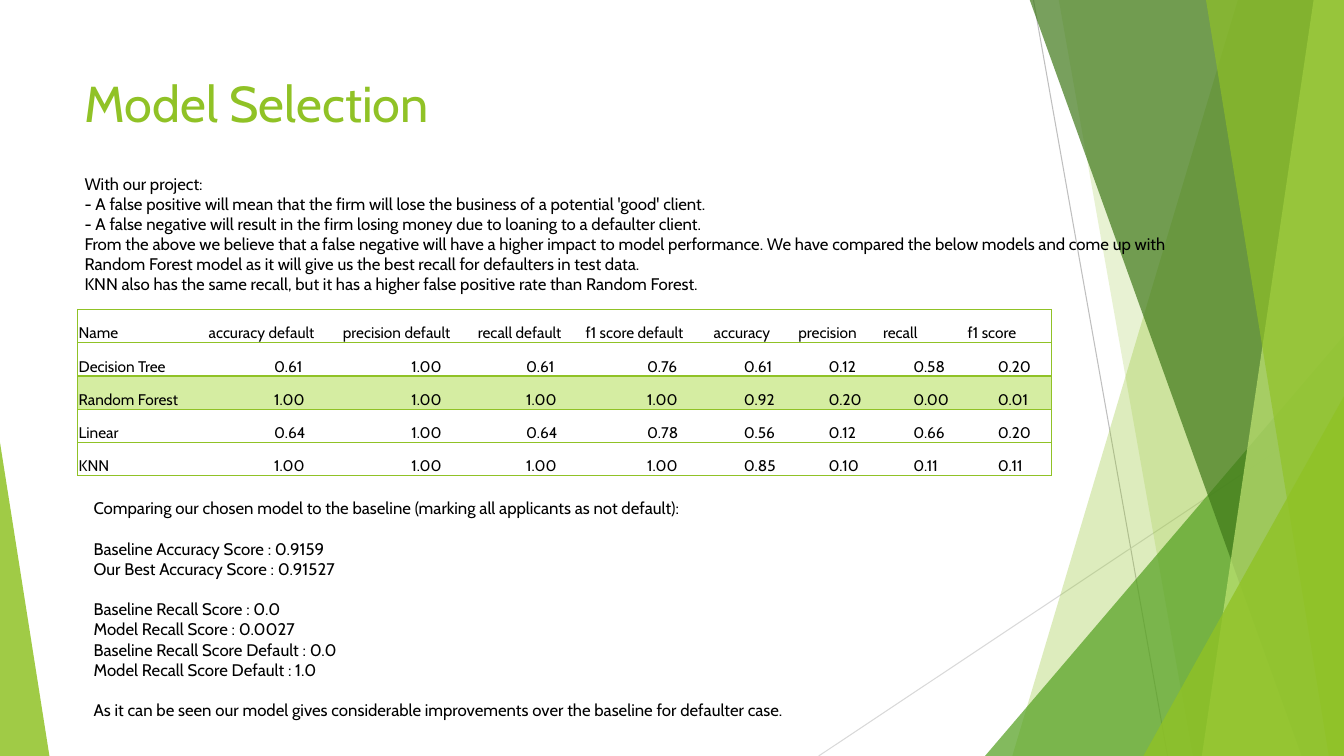
from lxml.etree import SubElement
from pptx import Presentation
from pptx.dml.color import RGBColor
from pptx.enum.shapes import MSO_CONNECTOR, MSO_SHAPE
from pptx.enum.text import MSO_ANCHOR
from pptx.oxml.ns import qn
from pptx.util import Inches, Pt

GREEN = RGBColor(0x90, 0xC2, 0x26)
MID_GREEN = RGBColor(0x54, 0xA0, 0x21)
DARK_GREEN = RGBColor(0x3F, 0x78, 0x19)
LIGHT_GREEN = RGBColor(0xC0, 0xE4, 0x74)
HIGHLIGHT = RGBColor(0xD5, 0xED, 0xA2)
GRAY = RGBColor(0xBF, 0xBF, 0xBF)
PALE_GRAY = RGBColor(0xD9, 0xD9, 0xD9)
WHITE = RGBColor(0xFF, 0xFF, 0xFF)
BLACK = RGBColor(0, 0, 0)

WIDTH, HEIGHT, TOP = 13.33, 7.5, -0.01
NO_TABLE_STYLE = "{2D5ABB26-0587-4C30-8999-92F81FD0307C}"

RAYS = [((10.25, 0), (11.58, HEIGHT), GRAY), ((WIDTH, 4.03), (8.12, HEIGHT), PALE_GRAY)]
BACK_BANDS = [(12.28, 10.04, GREEN, 30), (10.5, 11.83, GREEN, 20)]
FRONT_BANDS = [
    (10.21, 12.91, DARK_GREEN, 70),
    (13.03, 11.92, LIGHT_GREEN, 70),
    (11.96, 13.18, GREEN, 65),
]

PROJECT_TEXT = [[
    "With our project:",
    "- A false positive will mean that the firm will lose the business of a potential 'good' client.",
    "- A false negative will result in the firm losing money due to loaning to a defaulter client.",
    "From the above we believe that a false negative will have a higher impact to model performance. "
    "We have compared the below models and come up with Random Forest model as it will give us "
    "the best recall for defaulters in test data.",
    "KNN also has the same recall, but it has a higher false positive rate than Random Forest.",
]]
COMPARISON_TEXT = [
    ["Comparing our chosen model to the baseline (marking all applicants as not default):"],
    ["Baseline Accuracy Score : 0.9159", "Our Best Accuracy Score : 0.91527"],
    [
        "Baseline Recall Score : 0.0",
        "Model Recall Score : 0.0027",
        "Baseline Recall Score Default : 0.0",
        "Model Recall Score Default : 1.0",
    ],
    ["As it can be seen our model gives considerable improvements over the baseline for defaulter case."],
]

SCORES = [
    ["Name", "accuracy default", "precision default", "recall default", "f1 score default",
     "accuracy", "precision", "recall", "f1 score"],
    ["Decision Tree", "0.61", "1.00", "0.61", "0.76", "0.61", "0.12", "0.58", "0.20"],
    ["Random Forest", "1.00", "1.00", "1.00", "1.00", "0.92", "0.20", "0.00", "0.01"],
    ["Linear", "0.64", "1.00", "0.64", "0.78", "0.56", "0.12", "0.66", "0.20"],
    ["KNN", "1.00", "1.00", "1.00", "1.00", "0.85", "0.10", "0.11", "0.11"],
]
COLUMN_WIDTHS = [1.29, 1.33, 1.34, 1.07, 1.27] + [0.84] * 4
VALUE_INDENTS = [0.01, 0.66, 0.69, 0.49, 0.62] + [0.31] * 4


class SlideBuilder:
    """Draws styled elements on one slide."""

    def __init__(self, slide, font="Cabin"):
        self.slide = slide
        self.shapes = slide.shapes
        self.font = font

    def format_paragraph(self, paragraph, size, color):
        for run in paragraph.runs:
            run.font.name = self.font
            run.font.size = Pt(size)
            run.font.color.rgb = color

    def paint(self, shape, color, opacity):
        shape.shadow.inherit = False
        shape.fill.solid()
        shape.fill.fore_color.rgb = color
        shape.line.fill.background()
        color_element = shape.fill._xPr.find(qn("a:solidFill"))[0]
        SubElement(color_element, qn("a:alpha"), val=str(opacity * 1000))

    def ray(self, start, end, color):
        points = [Inches(value) for value in (*start, *end)]
        connector = self.shapes.add_connector(MSO_CONNECTOR.STRAIGHT, *points)
        connector.line.color.rgb = color
        connector.line.width = Pt(0.75)
        SubElement(connector._element.spPr, qn("a:effectLst"))

    def band(self, top_x, bottom_x, color, opacity):
        corners = [(WIDTH, TOP), (WIDTH, HEIGHT), (bottom_x, HEIGHT)]
        builder = self.shapes.build_freeform(Inches(top_x), Inches(TOP))
        builder.add_line_segments([(Inches(x), Inches(y)) for x, y in corners])
        self.paint(builder.convert_to_shape(), color, opacity)

    def triangle(self, left, top, width, apex, color, opacity):
        shape = self.shapes.add_shape(
            MSO_SHAPE.ISOSCELES_TRIANGLE,
            Inches(left), Inches(top), Inches(width), Inches(HEIGHT - top),
        )
        shape.adjustments[0] = apex
        self.paint(shape, color, opacity)

    def text(self, left, top, width, height, groups, size=12, color=BLACK):
        box = self.shapes.add_textbox(Inches(left), Inches(top), Inches(width), Inches(height))
        frame = box.text_frame
        frame.word_wrap = True
        frame.text = "\n".join(line for group in groups for line in group)
        for paragraph in frame.paragraphs:
            self.format_paragraph(paragraph, size, color)
        first = 0
        for group in groups[:-1]:
            first += len(group)
            frame.paragraphs[first].space_before = Pt(size * 1.21)

    def border(self, cell, sides):
        properties = cell._tc.get_or_add_tcPr()
        for side in sides:
            line = SubElement(properties, qn(f"a:ln{side}"), w=str(Pt(1)))
            fill = SubElement(line, qn("a:solidFill"))
            SubElement(fill, qn("a:srgbClr"), val=str(GREEN))

    def table(self, left, top, rows, widths, indents, row_height, highlighted):
        frame = self.shapes.add_table(
            len(rows), len(widths), Inches(left), Inches(top),
            Inches(sum(widths)), Inches(row_height * len(rows)),
        )
        table = frame.table
        table.first_row = table.horz_banding = False
        table._tbl.tblPr.find(qn("a:tableStyleId")).text = NO_TABLE_STYLE
        for column, width in zip(table.columns, widths):
            column.width = Inches(width)
        last = len(widths) - 1
        for row_index, row in enumerate(rows):
            table.rows[row_index].height = Inches(row_height)
            for column_index, content in enumerate(row):
                cell = table.cell(row_index, column_index)
                cell.text_frame.text = content
                self.format_paragraph(cell.text_frame.paragraphs[0], 11, BLACK)
                cell.vertical_anchor = MSO_ANCHOR.BOTTOM
                cell.margin_left = Inches(indents[column_index] if row_index else 0.01)
                cell.margin_right = cell.margin_top = Inches(0.01)
                cell.margin_bottom = 0
                edge = {0: "L", last: "R"}.get(column_index, "")
                self.border(cell, edge + "TB")
                cell.fill.solid()
                cell.fill.fore_color.rgb = HIGHLIGHT if row[0] == highlighted else WHITE


def main():
    presentation = Presentation()
    presentation.slide_width = Inches(WIDTH)
    presentation.slide_height = Inches(HEIGHT)
    slide = SlideBuilder(presentation.slides.add_slide(presentation.slide_layouts[6]))

    for ray in RAYS:
        slide.ray(*ray)
    for band in BACK_BANDS:
        slide.band(*band)
    slide.triangle(9.77, 3.33, 3.56, 1, MID_GREEN, 72)
    for band in FRONT_BANDS:
        slide.band(*band)
    slide.triangle(11.34, 3.93, 1.99, 1, GREEN, 80)
    slide.triangle(0, 4.39, 0.49, 0, GREEN, 85)

    slide.text(0.74, 0.67, 9.4, 1.44, [["Model Selection"]], 36, GREEN)
    slide.text(0.83, 4.89, 10.51, 2.32, COMPARISON_TEXT)
    slide.text(0.74, 1.67, 11.12, 1.51, PROJECT_TEXT)
    slide.table(0.77, 3.07, SCORES, COLUMN_WIDTHS, VALUE_INDENTS, 0.33, "Random Forest")
    presentation.save("out.pptx")


if __name__ == "__main__":
    main()
